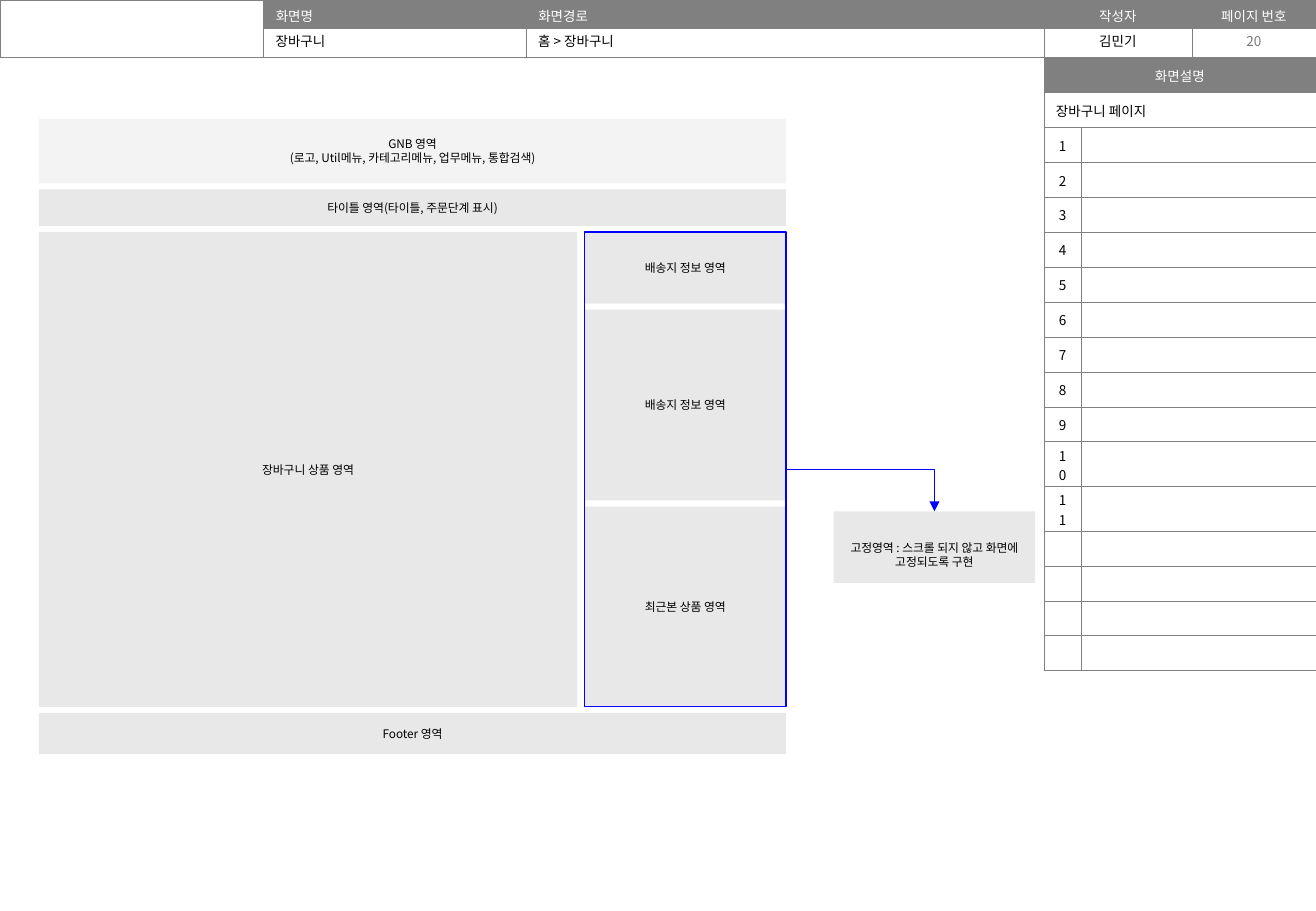
import pptx
import pptx.dml.color
import pptx.enum.shapes
import pptx.enum.text
import pptx.oxml
import pptx.oxml.ns
import pptx.util
from lxml import etree

FONT = "Noto Sans CJK KR"
GRAY, BLUE, BLACK, WHITE = "808080", "0000FF", "000000", "FFFFFF"
PALE, LIGHT, PAGE_GRAY = "F3F3F3", "E8E8E8", "797979"
LEFT, CENTER = pptx.enum.text.PP_ALIGN.LEFT, pptx.enum.text.PP_ALIGN.CENTER
TOP, MIDDLE = pptx.enum.text.MSO_ANCHOR.TOP, pptx.enum.text.MSO_ANCHOR.MIDDLE

SLIDE_W, SLIDE_H = 10.83, 7.5

# Header columns: width, label, value, alignment, value colour
HEADER = [
    (2.17, "", "", LEFT, BLACK),
    (2.16, "화면명", "장바구니", LEFT, BLACK),
    (4.26, "화면경로", "홈 > 장바구니", LEFT, BLACK),
    (1.22, "작성자", "김민기", CENTER, BLACK),
    (1.02, "페이지 번호", "20", CENTER, PAGE_GRAY),
]
HEADER_ROW = 0.235

DESCRIPTION_TITLE, DESCRIPTION_PAGE = "화면설명", "장바구니 페이지"
NUMBERED, EMPTY = 11, 4
DESCRIPTION_COLS = [0.31, 1.93]
DESCRIPTION_ROW, TWO_LINE_ROW = 0.288, 0.367

# Wireframe bands from top to bottom: height, text, fill
BODY_TEXT = "장바구니 상품 영역"
BANDS = [
    (0.53, "GNB 영역\n(로고, Util메뉴, 카테고리메뉴, 업무메뉴, 통합검색)", PALE),
    (0.30, "타이틀 영역(타이틀, 주문단계 표시)", LIGHT),
    (3.91, BODY_TEXT, LIGHT),
    (0.34, "Footer 영역", LIGHT),
]
SIDE_PANELS = [
    (0.59, "배송지 정보 영역", LIGHT),
    (1.57, "배송지 정보 영역", LIGHT),
    (1.65, "최근본 상품 영역", LIGHT),
]
WIRE_X, WIRE_Y, WIRE_W, GAP = 0.32, 0.98, 6.15, 0.05
MAIN_W, SIDE_W = 4.43, 1.66
CALLOUT = "고정영역 : 스크롤 되지 않고 화면에 고정되도록 구현"
CALLOUT_BOX = (6.86, 4.21, SIDE_W, 0.59)

inch = pptx.util.Inches


def color(hex_code):
    return pptx.dml.color.RGBColor.from_string(hex_code)


def write(frame, text, size, hex_code, align):
    frame.text = text
    for paragraph in frame.paragraphs:
        paragraph.alignment = align
        for run in paragraph.runs:
            run.font.size = pptx.util.Pt(size)
            run.font.name = FONT
            run.font.color.rgb = color(hex_code)
            east_asian = etree.SubElement(run.font._element, pptx.oxml.ns.qn("a:ea"))
            east_asian.set("typeface", FONT)
        if not paragraph.runs:
            end = paragraph._p.get_or_add_endParaRPr()
            end.set("sz", str(size * 100))


def add_box(slide, x, y, w, h, text="", fill=None, line=None, insets=(0.1,) * 4):
    box = slide.shapes.add_shape(
        pptx.enum.shapes.MSO_SHAPE.RECTANGLE, inch(x), inch(y), inch(w), inch(h))
    box.shadow.inherit = False
    if fill:
        box.fill.solid()
        box.fill.fore_color.rgb = color(fill)
    else:
        box.fill.background()
    if line:
        box.line.color.rgb = color(line)
        box.line.width = pptx.util.Pt(0.75)
    else:
        box.line.fill.background()
    frame = box.text_frame
    frame.word_wrap = True
    frame.vertical_anchor = MIDDLE
    (frame.margin_left, frame.margin_top,
     frame.margin_right, frame.margin_bottom) = map(inch, insets)
    write(frame, text, 7, BLACK, CENTER)
    return box


def add_label(slide, x, w, text, align, hex_code):
    label = slide.shapes.add_textbox(inch(x), inch(0.22), inch(w), inch(0.24))
    label.text_frame.word_wrap = True
    label.text_frame.vertical_anchor = MIDDLE
    write(label.text_frame, text, 8, hex_code, align)


def add_grid(slide, x, y, widths, heights):
    table = slide.shapes.add_table(
        len(heights), len(widths), inch(x), inch(y),
        inch(sum(widths)), inch(sum(heights))).table
    table.first_row = table.horz_banding = False
    for column, width in zip(table.columns, widths):
        column.width = inch(width)
    for row, height in zip(table.rows, heights):
        row.height = inch(height)
    return table


def set_cell(cell, text, align, anchor, fill=None, margins=(0.03, 0.02)):
    properties = cell._tc.get_or_add_tcPr()
    for side in "LRTB":
        properties.append(pptx.oxml.parse_xml(
            f'<a:ln{side} {pptx.oxml.ns.nsdecls("a")} w="3175"><a:solidFill>'
            f'<a:srgbClr val="{GRAY}"/></a:solidFill></a:ln{side}>'))
    if fill:
        cell.fill.solid()
        cell.fill.fore_color.rgb = color(fill)
    else:
        cell.fill.background()
    cell.vertical_anchor = anchor
    cell.margin_top, cell.margin_bottom = map(inch, margins)
    write(cell.text_frame, text, 8, WHITE if fill else BLACK, align)


def add_header(slide):
    widths = [column[0] for column in HEADER]
    table = add_grid(slide, 0, 0, widths, [HEADER_ROW] * 2)
    table.cell(0, 0).merge(table.cell(1, 0))
    for index, (width, label, value, align, hex_code) in enumerate(HEADER):
        for row, text in enumerate((label, "")):
            fill = GRAY if text else None
            set_cell(table.cell(row, index), text, align, TOP, fill, (0.05, 0.02))
        if value:
            add_label(slide, sum(widths[:index]), width, value, align, hex_code)


def add_description(slide):
    numbers = [str(n) for n in range(1, NUMBERED + 1)] + [""] * EMPTY
    texts = [DESCRIPTION_TITLE, DESCRIPTION_PAGE] + numbers
    heights = [TWO_LINE_ROW if len(text) == 2 else DESCRIPTION_ROW for text in texts]
    table = add_grid(slide, SLIDE_W - sum(DESCRIPTION_COLS), 2 * HEADER_ROW,
                     DESCRIPTION_COLS, heights)
    for row, text in enumerate(texts):
        fill = GRAY if text == DESCRIPTION_TITLE else None
        align = LEFT if text == DESCRIPTION_PAGE else CENTER
        if row < 2:
            table.cell(row, 0).merge(table.cell(row, 1))
        set_cell(table.cell(row, 0), text, align, MIDDLE, fill)
        set_cell(table.cell(row, 1), "", LEFT, MIDDLE, fill)


def add_stack(slide, x, y, width, parts):
    """Stack boxes downwards and return the top and height of each by text."""
    places = {}
    for height, text, fill in parts:
        add_box(slide, x, y, MAIN_W if text == BODY_TEXT else width, height, text, fill)
        places[text] = (y, height)
        y += height + GAP
    return places


def add_arrow(slide, frame, callout):
    arrow = slide.shapes.add_connector(pptx.enum.shapes.MSO_CONNECTOR.ELBOW, 0, 0, 0, 0)
    arrow.begin_connect(frame, 3)
    arrow.end_connect(callout, 0)
    arrow.line.color.rgb = color(BLUE)
    arrow.line.width = pptx.util.Pt(0.75)
    properties = arrow._element.spPr
    properties.find(pptx.oxml.ns.qn("a:prstGeom")).set("prst", "bentConnector2")
    head = etree.SubElement(arrow.line._get_or_add_ln(), pptx.oxml.ns.qn("a:tailEnd"))
    head.set("type", "triangle")
    etree.SubElement(properties, pptx.oxml.ns.qn("a:effectLst"))


def main():
    deck = pptx.Presentation()
    deck.slide_width, deck.slide_height = inch(SLIDE_W), inch(SLIDE_H)
    slide = deck.slides.add_slide(deck.slide_layouts[6])
    add_header(slide)
    add_description(slide)
    body_y, body_h = add_stack(slide, WIRE_X, WIRE_Y, WIRE_W, BANDS)[BODY_TEXT]
    side_x = WIRE_X + WIRE_W - SIDE_W
    add_stack(slide, side_x, body_y, SIDE_W, SIDE_PANELS)
    callout = add_box(slide, *CALLOUT_BOX, CALLOUT, LIGHT, insets=(0, 0.12, 0, 0))
    fixed_area = add_box(slide, side_x, body_y, SIDE_W, body_h, line=BLUE)
    add_arrow(slide, fixed_area, callout)
    deck.save("out.pptx")


if __name__ == "__main__":
    main()
